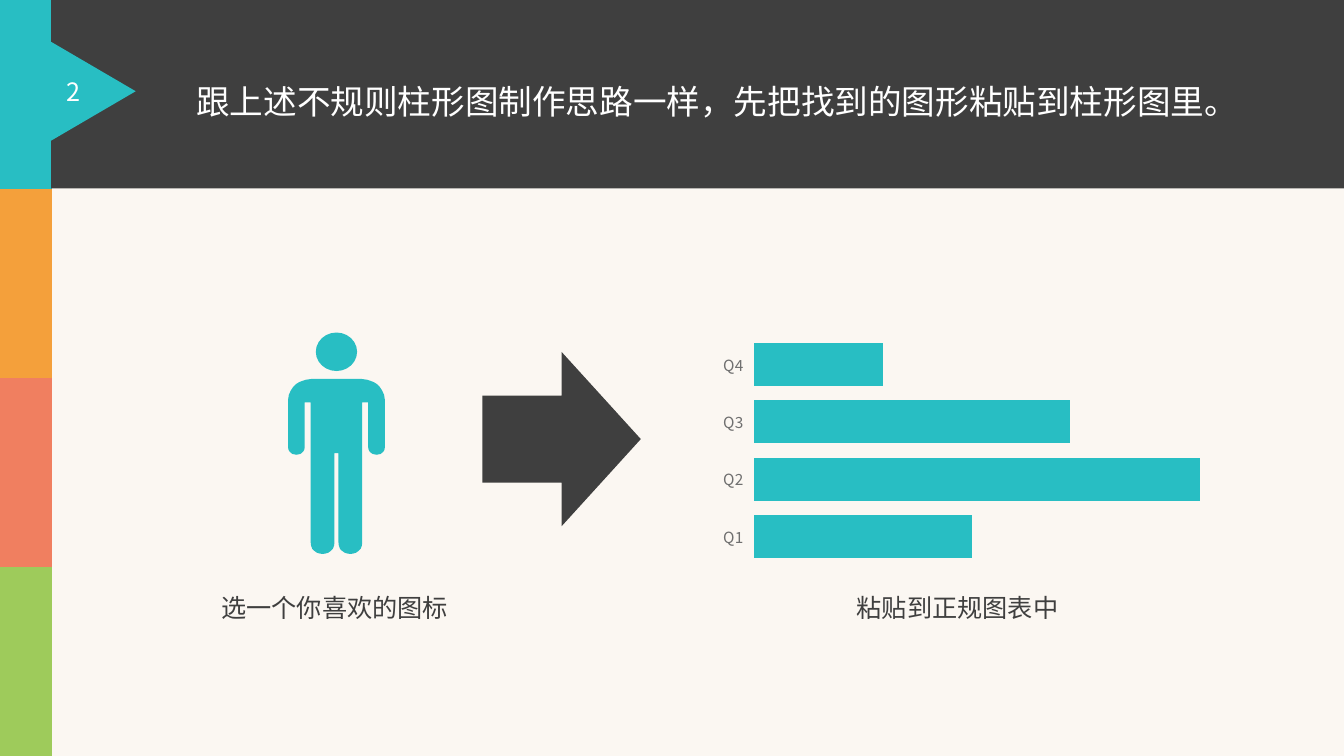
from lxml import etree
from pptx import Presentation
from pptx.chart.data import CategoryChartData
from pptx.dml.color import RGBColor
from pptx.enum.chart import XL_CHART_TYPE, XL_TICK_MARK
from pptx.enum.shapes import MSO_SHAPE
from pptx.enum.text import MSO_ANCHOR, PP_ALIGN
from pptx.oxml import parse_xml
from pptx.oxml.ns import nsdecls, qn
from pptx.util import Cm, Pt

BAR = XL_CHART_TYPE.BAR_CLUSTERED
OUT = XL_TICK_MARK.OUTSIDE
RECT = MSO_SHAPE.RECTANGLE
STRIP = MSO_SHAPE.FLOWCHART_PROCESS
TRI = MSO_SHAPE.ISOSCELES_TRIANGLE
OVAL = MSO_SHAPE.OVAL
ARROW = MSO_SHAPE.RIGHT_ARROW
MID = MSO_ANCHOR.MIDDLE
TOP = MSO_ANCHOR.TOP
LEFT = PP_ALIGN.LEFT
CENTER = PP_ALIGN.CENTER

TEAL, DARK, WHITE = "28BEC3", "3F3F3F", "FFFFFF"
GRAY, CREAM = "6F6F6F", "FBF7F2"
STRIPS = (TEAL, "F4A03B", "F07F60", "9ECB5B")
WIDE, HIGH = 33.87, 19.05
AXIS = 848
HALF = (
    (0, 955), (53, 955), (53, 955, 117, 950, 122, 1008),
    (122, 1127), (122, 1152, 80, 1152, 80, 1127),
    (80, 1014), (65, 1014),
    (65, 1366), (65, 1406, 5, 1406, 5, 1366), (5, 1142),
)


def color(code):
    return RGBColor.from_string(code)


def trace(steps, count=12):
    points = []
    for step in steps:
        if len(step) == 2:
            points.append(step)
            continue
        start = points[-1]
        for i in range(1, count + 1):
            t = i / count
            u = 1 - t
            points.append(tuple(
                u**3 * start[k] + 3 * u * u * t * step[k]
                + 3 * u * t * t * step[k + 2] + t**3 * step[k + 4]
                for k in (0, 1)))
    return points


class Page:
    face = "Noto Sans CJK SC"

    def __init__(self, deck):
        self.slide = deck.slides.add_slide(deck.slide_layouts[6])
        self.shapes = self.slide.shapes
        fill = self.slide.background.fill
        fill.solid()
        fill.fore_color.rgb = color(CREAM)

    def font(self, font, size, tone):
        for key, value in {"name": self.face, "size": Pt(size)}.items():
            setattr(font, key, value)
        font.color.rgb = color(tone)

    def paint(self, shape, tone):
        shape.shadow.inherit = False
        shape.fill.solid()
        shape.fill.fore_color.rgb = color(tone)
        shape.line.fill.background()
        return shape

    def shape(self, kind, box, tone, turn=0):
        shape = self.shapes.add_shape(kind, *map(Cm, box))
        shape.rotation = turn
        return self.paint(shape, tone)

    def label(self, shape, words, size, tone, align=CENTER, **style):
        frame = shape.text_frame
        for key, value in style.items():
            setattr(frame, key, value)
        para = frame.paragraphs[0]
        para.alignment = align
        run = para.add_run()
        run.text = words
        self.font(run.font, size, tone)
        east = etree.SubElement(run._r.get_or_add_rPr(), qn("a:ea"))
        east.set("typeface", self.face)
        return para

    def text(self, box, words, size, tone, align=CENTER, wrap=False):
        shape = self.shapes.add_textbox(*map(Cm, box))
        return self.label(shape, words, size, tone, align,
                          word_wrap=wrap, vertical_anchor=TOP)

    def body(self, half, axis, tone):
        side = trace(half)
        right = [(axis + x, y) for x, y in side]
        left = [(axis - x, y) for x, y in reversed(side)]
        pen = self.shapes.build_freeform(*right[0], scale=Cm(0.01))
        pen.add_line_segments(right[1:] + left, close=True)
        self.paint(pen.convert_to_shape(), tone)

    def chart(self, box, names, values, plot, tone):
        data = CategoryChartData()
        data.categories = names
        data.add_series("Series 1", values)
        chart = self.shapes.add_chart(BAR, *map(Cm, box), data).chart
        for key, value in {"has_legend": False, "has_title": False}.items():
            setattr(chart, key, value)
        self.font(chart.font, 10, DARK)
        bars = chart.plots[0]
        for key, value in {"gap_width": 34, "vary_by_categories": False}.items():
            setattr(bars, key, value)
        fill = bars.series[0].format.fill
        fill.solid()
        fill.fore_color.rgb = color(tone)
        axis = chart.category_axis
        axis.major_tick_mark = OUT
        axis.format.line.fill.background()
        self.font(axis.tick_labels.font, 11, GRAY)
        scale = {"visible": False, "has_major_gridlines": False,
                 "minimum_scale": 0, "maximum_scale": 116}
        for key, value in scale.items():
            setattr(chart.value_axis, key, value)
        self.place(chart, plot)

    def place(self, chart, plot):
        area = chart._chartSpace.find(".//" + qn("c:plotArea"))
        for old in area.findall(qn("c:layout")):
            area.remove(old)
        parts = '<c:layoutTarget val="inner"/>'
        parts += "".join(f'<c:{k}Mode val="edge"/>' for k in "xy")
        parts += "".join(f'<c:{k} val="{v}"/>' for k, v in zip("xywh", plot))
        area.insert(0, parse_xml(
            f'<c:layout {nsdecls("c")}><c:manualLayout>{parts}'
            "</c:manualLayout></c:layout>"))


def main():
    deck = Presentation()
    deck.slide_width, deck.slide_height = Cm(WIDE), Cm(HIGH)
    page = Page(deck)

    step = HIGH / len(STRIPS)
    for i, tone in enumerate(STRIPS):
        page.shape(STRIP, (0, i * step, 1.32, step), tone)
    page.shape(RECT, (1.29, 0, WIDE - 1.29, 4.75), DARK)
    title = page.text((4.7, 1.4, 27.9, 1.62),
                      "跟上述不规则柱形图制作思路一样，先把找到的图形粘贴到柱形图里。",
                      24, WHITE, LEFT, True)
    title.line_spacing = 1.5
    page.shape(TRI, (0.97, 1.17, 2.64, 2.26), TEAL, 90)
    badge = page.shape(RECT, (1.4, 1.8, 0.89, 1.02), TEAL)
    page.label(badge, "2", 18, WHITE, word_wrap=False, vertical_anchor=MID)

    page.shape(OVAL, (7.96, 8.38, 1.04, 0.97), TEAL)
    page.body(HALF, AXIS, TEAL)
    page.chart((17.7, 7.95, 14.33, 7.24), ("Q1", "Q2", "Q3", "Q4"),
               (49, 100, 71, 29), (0.09, 0.07, 0.91, 0.8), TEAL)
    page.shape(ARROW, (12.16, 8.87, 3.99, 4.39), DARK)
    page.text((5.3, 14.81, 6.27, 1.02), "选一个你喜欢的图标", 18, DARK)
    page.text((21.31, 14.81, 5.64, 1.02), "粘贴到正规图表中", 18, DARK)
    deck.save("out.pptx")


if __name__ == "__main__":
    main()
